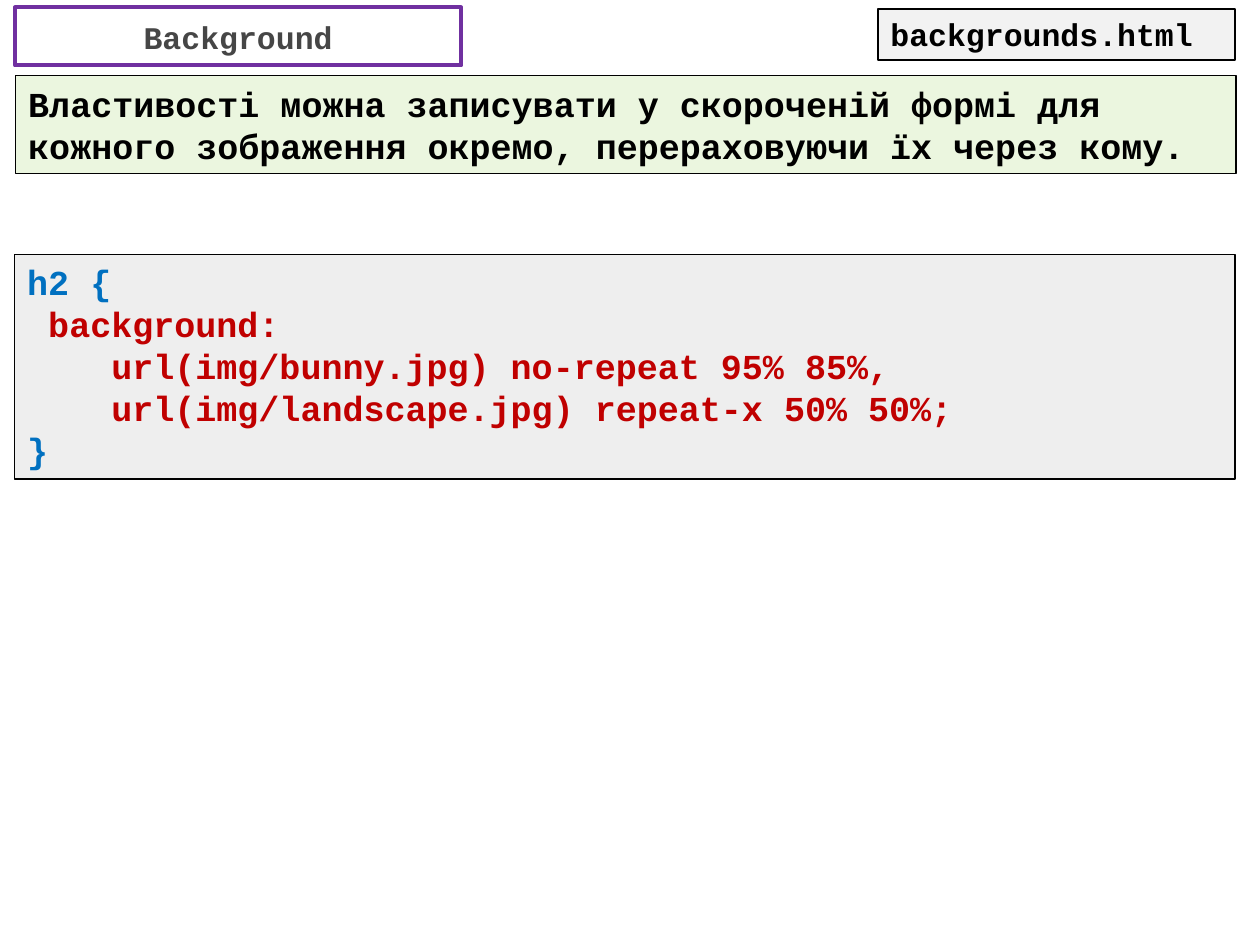
from dataclasses import dataclass

from lxml.etree import SubElement
from pptx import Presentation
from pptx.dml.color import RGBColor
from pptx.enum.shapes import MSO_SHAPE
from pptx.enum.text import MSO_ANCHOR, MSO_AUTO_SIZE, PP_ALIGN
from pptx.oxml.ns import qn
from pptx.util import Cm, Pt


@dataclass(frozen=True)
class Theme:
    font: str = "Courier New"
    label_size: int = 18
    body_size: int = 20
    ink: str = "000000"
    title_ink: str = "464646"
    title_line: str = "7030A0"
    file_fill: str = "F2F2F2"
    hint_fill: str = "92D050"
    code_fill: str = "A6A6A6"
    tint: int = 18
    selector: str = "0070C0"
    declaration: str = "C00000"


THEME = Theme()


def place(shape, left, top, width, height):
    shape.left, shape.top = Cm(left), Cm(top)
    shape.width, shape.height = Cm(width), Cm(height)


def outline(shape, color, weight):
    shape.line.color.rgb = RGBColor.from_string(color)
    shape.line.width = Pt(weight)


def write(para, text, *, size, color=THEME.ink, align=PP_ALIGN.LEFT):
    para.alignment = align
    span = para.add_run()
    span.text = text
    span.font.name = THEME.font
    span.font.size = Pt(size)
    span.font.bold = True
    span.font.color.rgb = RGBColor.from_string(color)


def add_panel(page, bounds, *, fill, weight, opacity=100):
    """Add an outlined rectangle, with opacity in percent, ready for text."""
    box = page.shapes.add_shape(MSO_SHAPE.RECTANGLE, *map(Cm, bounds))
    box.shadow.inherit = False
    box.fill.solid()
    box.fill.fore_color.rgb = RGBColor.from_string(fill)
    if opacity < 100:
        color = box.fill._xPr.find(qn("a:solidFill"))[0]
        SubElement(color, qn("a:alpha")).set("val", str(opacity * 1000))
    outline(box, THEME.ink, weight)
    box.text_frame.word_wrap = True
    box.text_frame.vertical_anchor = MSO_ANCHOR.TOP
    return box


def set_title(page, bounds, text):
    title = page.shapes.title
    place(title, *bounds)
    outline(title, THEME.title_line, 2.25)
    frame = title.text_frame
    frame.auto_size = MSO_AUTO_SIZE.NONE
    frame.vertical_anchor = MSO_ANCHOR.MIDDLE
    write(frame.paragraphs[0], text, size=THEME.label_size,
          color=THEME.title_ink, align=PP_ALIGN.CENTER)


def add_file_label(page, bounds, text):
    box = add_panel(page, bounds, fill=THEME.file_fill, weight=1)
    write(box.text_frame.paragraphs[0], text, size=THEME.label_size)


def add_hint(page, bounds, text):
    box = add_panel(page, bounds, fill=THEME.hint_fill, weight=0.75,
                    opacity=THEME.tint)
    write(box.text_frame.paragraphs[0], text, size=THEME.body_size)


def add_code(page, bounds, code):
    """Show a CSS rule, with indented declarations in their own colour."""
    box = add_panel(page, bounds, fill=THEME.code_fill, weight=0.75,
                    opacity=THEME.tint)
    frame = box.text_frame
    for index, line in enumerate(code):
        para = frame.add_paragraph() if index else frame.paragraphs[0]
        color = THEME.declaration if line.startswith(" ") else THEME.selector
        write(para, line, size=THEME.body_size, color=color)


def main():
    deck = Presentation()
    deck.slide_width, deck.slide_height = Cm(25.4), Cm(19.05)
    page = deck.slides.add_slide(deck.slide_layouts.get_by_name("Title Only"))

    set_title(page, (0.3, 0.15, 9, 1.17), "Background")
    add_file_label(page, (17.7, 0.18, 7.2, 1.03), "backgrounds.html")
    add_hint(page, (0.32, 1.53, 24.6, 1.97),
             "Властивості можна записувати у скороченій формі для "
             "кожного зображення окремо, перераховуючи їх через кому.")
    add_code(page, (0.3, 5.13, 24.6, 4.53), (
        "h2 {",
        " background:",
        "    url(img/bunny.jpg) no-repeat 95% 85%,",
        "    url(img/landscape.jpg) repeat-x 50% 50%;",
        "}",
    ))
    deck.save("out.pptx")


if __name__ == "__main__":
    main()
